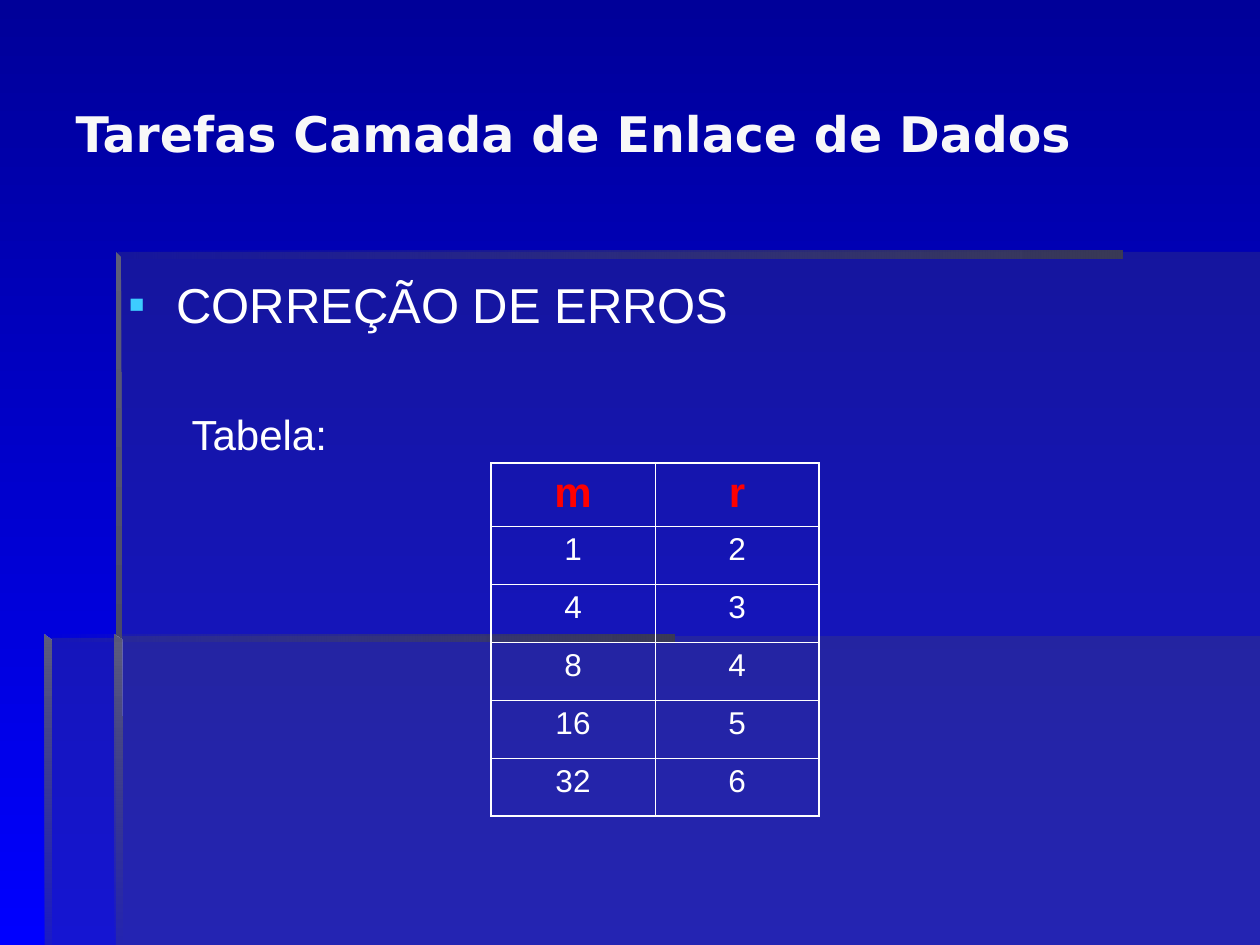
from lxml.etree import SubElement
from pptx import Presentation
from pptx.dml.color import RGBColor
from pptx.enum.text import MSO_ANCHOR, MSO_AUTO_SIZE, PP_ALIGN
from pptx.oxml.ns import qn
from pptx.util import Pt

PX = 914400 / 126
color = RGBColor.from_string


def assign(target, values):
    for name, value in values.items():
        setattr(target, name, value)


def paint_gradient(fill, stops, angle):
    fill.gradient()
    fill.gradient_angle = angle
    for stop, shade in zip(fill.gradient_stops, stops):
        stop.color.rgb = color(shade)


deck = Presentation()
assign(deck, {"slide_width": int(1260 * PX), "slide_height": int(945 * PX)})
slide = deck.slides.add_slide(deck.slide_layouts[1])
paint_gradient(slide.background.fill, ["000099", "0000FF"], 270)

DOWN, LEFTWARD = 270, 180
EDGE_ACROSS = ["3A3A56", "48486A"]
EDGE_DOWN = ["5D5D7B", "48486A"]
decorations = [
    ([(116, 636), (116, 945), (1260, 945), (1260, 636)], ["48486A"], [30], None),
    ([(118, 638), (45, 638), (45, 945), (1260, 945), (1260, 252), (118, 252)],
     ["48486A"], [30], None),
    ([(116, 251), (116, 259), (1123, 259), (1123, 251)], EDGE_ACROSS, [100, 0], LEFTWARD),
    ([(116, 252), (116, 643), (122, 643), (121, 257)], EDGE_DOWN, [100, 100], DOWN),
    ([(115, 945), (122, 945), (121, 640), (115, 635)], EDGE_DOWN, [100, 0], DOWN),
    ([(44, 635), (44, 641), (674, 641), (674, 635)], EDGE_ACROSS, [100, 0], LEFTWARD),
    ([(44, 635), (44, 945), (51, 945), (51, 641)], EDGE_DOWN, [100, 10], DOWN),
]
for corners, shades, opacities, angle in decorations:
    outline = slide.shapes.build_freeform(*corners[0], scale=PX)
    outline.add_line_segments(corners[1:], close=True)
    panel = outline.convert_to_shape()
    panel.shadow.inherit = False
    panel.line.fill.background()
    if angle is None:
        panel.fill.solid()
        panel.fill.fore_color.rgb = color(shades[0])
    else:
        paint_gradient(panel.fill, shades, angle)
    for shade, opacity in zip(panel.element.iter(qn("a:srgbClr")), opacities):
        SubElement(shade, qn("a:alpha")).set("val", str(opacity * 1000))

title = slide.shapes.title
body = slide.placeholders[1]
for holder, box, anchor in [
    (title, (63, 34, 1155, 198), MSO_ANCHOR.MIDDLE),
    (body, (116, 262, 1090, 577), MSO_ANCHOR.TOP),
]:
    slide.shapes.element.append(holder.element)
    assign(holder, dict(zip(("left", "top", "width", "height"), (int(n * PX) for n in box))))
    assign(holder.text_frame, {"word_wrap": True, "auto_size": MSO_AUTO_SIZE.NONE,
                               "vertical_anchor": anchor})

title.text_frame.text = "Tarefas Camada de Enlace de Dados"
heading = title.text_frame.paragraphs[0]
heading.alignment = PP_ALIGN.LEFT
assign(heading.font, {"name": "DejaVu Sans", "size": Pt(28), "bold": True})
heading.font.color.rgb = color("F8F8F8")

body.text_frame.margin_top = int(12 * PX)
body.text_frame.text = "CORREÇÃO DE ERROS\nTabela:"
topic, caption = body.text_frame.paragraphs
for line, level, margin, indent, size, gap in [
    (topic, 0, 48, -48, 28, 0),
    (caption, 1, 102, -39, 24, 43),
]:
    assign(line, {"level": level, "space_before": Pt(gap), "alignment": PP_ALIGN.LEFT})
    properties = line._p.get_or_add_pPr()
    properties.set("marL", str(int(margin * PX)))
    properties.set("indent", str(int(indent * PX)))
    if line is topic:
        bullet_color = SubElement(properties, qn("a:buClr"))
        SubElement(bullet_color, qn("a:srgbClr")).set("val", "3DCCFF")
        SubElement(properties, qn("a:buFont")).set("typeface", "Arial")
        SubElement(properties, qn("a:buChar")).set("char", "▪")
    else:
        SubElement(properties, qn("a:buNone"))
    assign(line.font, {"name": "Arial", "size": Pt(size)})
    line.font.color.rgb = color("FFFFFF")

check_bits = [("m", "r"), ("1", "2"), ("4", "3"), ("8", "4"), ("16", "5"), ("32", "6")]
HEADER_FORMAT = {"name": "Arial", "size": Pt(24), "bold": True}
VALUE_FORMAT = {"name": "Arial", "size": Pt(18), "bold": False}
last_row, last_column = len(check_bits) - 1, 1
table = slide.shapes.add_table(
    len(check_bits), 2, *(int(n * PX) for n in (491, 463, 328, 353))
).table
assign(table, {"first_row": False, "horz_banding": False})
for column in table.columns:
    column.width = int(164 * PX)
for r, values in enumerate(check_bits):
    table.rows[r].height = int((58 if r else 63) * PX)
    for c, value in enumerate(values):
        cell = table.cell(r, c)
        cell.text = value
        entry = cell.text_frame.paragraphs[0]
        entry.alignment = PP_ALIGN.CENTER
        assign(entry.font, VALUE_FORMAT if r else HEADER_FORMAT)
        entry.font.color.rgb = color("FFFFFF" if r else "FF0000")
        cell_properties = cell._tc.get_or_add_tcPr()
        for side, outer in [("L", c == 0), ("R", c == last_column),
                            ("T", r == 0), ("B", r == last_row)]:
            border = SubElement(cell_properties, qn(f"a:ln{side}"))
            border.set("w", str(Pt(1.08 if outer else 0.45)))
            border_fill = SubElement(border, qn("a:solidFill"))
            SubElement(border_fill, qn("a:srgbClr")).set("val", "FFFFFF")
        cell.fill.background()

deck.save("out.pptx")
